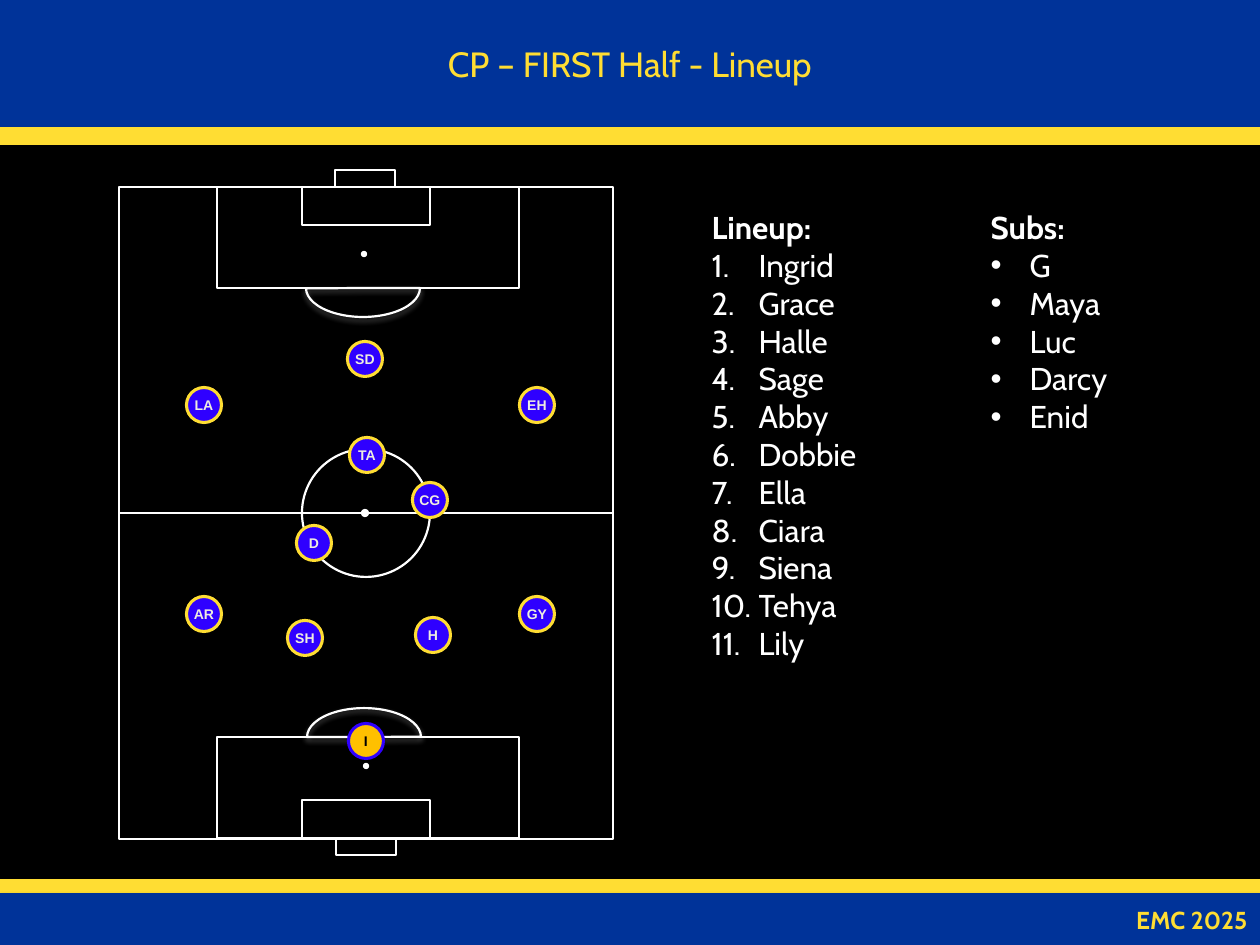
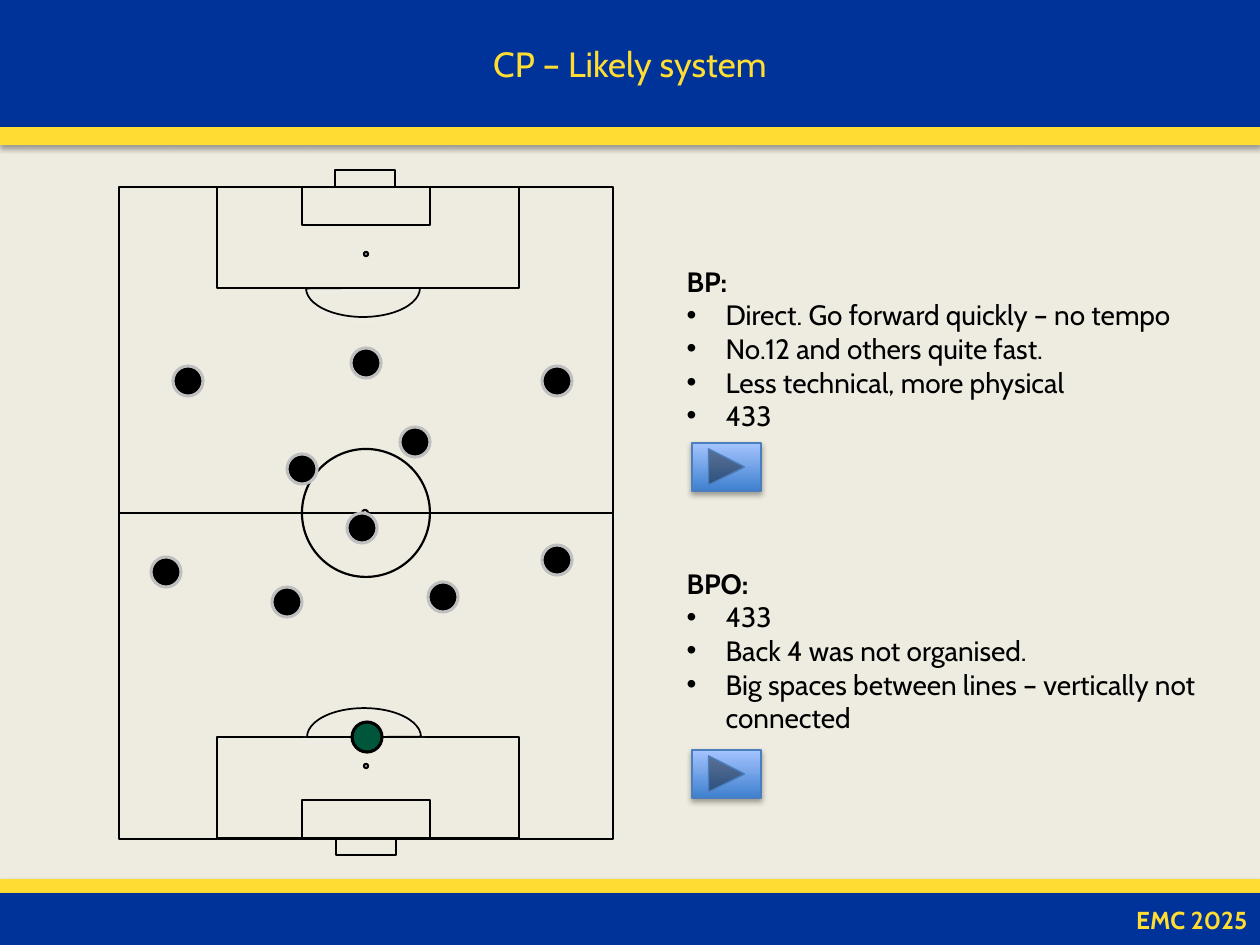
import pptx
import pptx.util
import pptx.dml.color
import pptx.enum.shapes
import pptx.enum.text
import pptx.oxml
import pptx.oxml.ns

EMU_PER_PX = 914400 / 126
C = {
    "blue": "003399", "yellow": "FFDD33", "black": "000000", "white": "FFFFFF",
    "cream": "EEECE1", "kit": "2F00FF", "amber": "FFC000", "green": "00563B",
    "grey": "BFBFBF", "button_dark": "3F80CE", "button_light": "A4C4FF",
    "button_edge": "4B7EBC",
}
MSO = pptx.enum.shapes.MSO_SHAPE
ALIGN = pptx.enum.text.PP_ALIGN
MIDDLE = pptx.enum.text.MSO_ANCHOR.MIDDLE
NO_FIT = pptx.enum.text.MSO_AUTO_SIZE.NONE
RGB = pptx.dml.color.RGBColor.from_string
NS = pptx.oxml.ns.nsdecls("a")


def style(sp, box, fill=None, line=None, width=0.75, shadow=None):
    """Place a shape by its px box (left, top, width, height) and paint it."""
    for name, v in zip(("left", "top", "width", "height"), box):
        setattr(sp, name, round(v * EMU_PER_PX))
    if fill:
        sp.fill.solid()
        sp.fill.fore_color.rgb = RGB(C[fill])
    else:
        sp.fill.background()
    if line:
        sp.line.color.rgb = RGB(C[line])
        sp.line.width = pptx.util.Pt(width)
    else:
        sp.line.fill.background()
    sp.shadow.inherit = False
    if shadow:
        effects = sp._element.spPr.find(pptx.oxml.ns.qn("a:effectLst"))
        effects.append(pptx.oxml.parse_xml(
            f'<a:outerShdw {NS} blurRad="40000" dist="23000" dir="5400000" rotWithShape="0">'
            f'<a:srgbClr val="{C[shadow]}"><a:alpha val="35000"/></a:srgbClr></a:outerShdw>'))
    return sp


def write(p, text, color, size, bold=False, name="Cabin"):
    r = p.add_run()
    r.text = text
    fmt = {"size": pptx.util.Pt(size), "bold": bold, "name": name}
    for key, value in fmt.items():
        setattr(r.font, key, value)
    r.font.color.rgb = RGB(C[color])


BULLET = ('<a:buChar {} char="•"/>',)
NUMBER = ("<a:buFontTx {}/>", '<a:buAutoNum {} type="arabicPeriod"/>')

# Pitch markings: kind, box, fill
PITCH = [
    (MSO.RECTANGLE, (119, 187, 494, 652), None),
    (MSO.OVAL, (302, 449, 128, 128), None),
    (MSO.OVAL, (362, 510, 6, 6), "white"),
    (MSO.RECTANGLE, (217, 187, 302, 101), None),
    (MSO.RECTANGLE, (302, 187, 128, 38), None),
    (MSO.RECTANGLE, (217, 737, 302, 101), None),
    (MSO.RECTANGLE, (302, 800, 128, 38), None),
    (MSO.OVAL, (364, 764, 4, 4), "white"),
    (MSO.RECTANGLE, (335, 170, 60, 17), None),
    (MSO.RECTANGLE, (336, 839, 60, 16), None),
]
ARCS = [((306, 259, 114, 58), 0), ((307, 708, 114, 58), 180)]

# Players: label, centre x, centre y; the goalkeeper comes last
SLIDES = [
    {
        "title": "CP – FIRST Half - Lineup",
        "bg": "black", "ink": "white", "arc_width": 1.25, "top_spot": 362,
        "size": 18, "diameter": 35,
        "outfield": {"fill": "kit", "line": "yellow"},
        "keeper": {"fill": "amber", "line": "kit"},
        "players": [
            ("H", 433, 635), ("SH", 305, 638), ("AR", 204, 614), ("GY", 537, 614),
            ("D", 314, 543), ("CG", 430, 500), ("TA", 367, 455), ("SD", 365, 359),
            ("EH", 537, 405), ("LA", 204, 405), ("I", 366, 741),
        ],
        "lists": [
            ("Lineup:", (699, 202, 260, 471), NUMBER, 47,
             ["Ingrid", "Grace", "Halle", "Sage", "Abby", "Dobbie", "Ella", "Ciara",
              "Siena", "Tehya", "Lily"]),
            ("Subs:", (978, 202, 226, 280), BULLET, 39,
             ["G", "Maya", "Luc", "Darcy", "Enid"]),
        ],
        "buttons": [],
    },
    {
        "title": "CP – Likely system",
        "bg": "cream", "ink": "black", "arc_width": 1, "top_spot": 364,
        "size": 16, "diameter": 30,
        "outfield": {"fill": "black", "line": "grey"},
        "keeper": {"fill": "green", "line": "black"},
        "players": [
            ("", 188, 381), ("", 366, 363), ("", 557, 381), ("", 302, 469),
            ("", 166, 572), ("", 415, 442), ("", 362, 528), ("", 287, 602),
            ("", 443, 597), ("", 557, 560), ("", 367, 737),
        ],
        "lists": [
            ("BP:", (674, 258, 547, 181), BULLET, 39,
             ["Direct. Go forward quickly – no tempo", "No.12 and others quite fast.",
              "Less technical, more physical", "433"]),
            ("BPO:", (674, 560, 547, 181), BULLET, 39,
             ["433", "Back 4 was not organised.",
              "Big spaces between lines – vertically not connected"]),
        ],
        "buttons": [(692, 443, 69, 48), (692, 750, 69, 48)],
    },
]

prs = pptx.Presentation()
prs.slide_width = round(1260 * EMU_PER_PX)
prs.slide_height = round(945 * EMU_PER_PX)

for d in SLIDES:
    s = prs.slides.add_slide(prs.slide_layouts.get_by_name("Two Content"))
    s.background.fill.solid()
    s.background.fill.fore_color.rgb = RGB(C[d["bg"]])
    ink = d["ink"]

    # Title band, stripes and footer band
    sp = style(s.shapes.title, (0, 0, 1260, 128), "blue", "blue", shadow="black")
    tf = sp.text_frame
    tf.auto_size, tf.vertical_anchor = NO_FIT, MIDDLE
    p = tf.paragraphs[0]
    p.alignment = ALIGN.CENTER
    write(p, d["title"], "yellow", 20)
    for box, color in [((0, 880, 1260, 15), "yellow"), ((0, 128, 1260, 16), "yellow"),
                       ((0, 894, 1260, 51), "blue")]:
        sp = s.shapes.add_shape(MSO.RECTANGLE, 0, 0, 0, 0)
        style(sp, box, color, color, shadow="black")
    sp.text_frame.vertical_anchor = MIDDLE
    p = sp.text_frame.paragraphs[0]
    p.alignment = ALIGN.RIGHT
    write(p, "EMC 2025", "yellow", 14, bold=True)

    # Pitch
    marks = []
    spot = (MSO.OVAL, (d["top_spot"], 252, 4, 4), "white")
    for kind, box, fill in PITCH + [spot]:
        sp = s.shapes.add_shape(kind, 0, 0, 0, 0)
        marks.append(style(sp, box, fill, ink, 1.25))
    for box, rotation in ARCS:
        sp = s.shapes.add_shape(MSO.PIE, 0, 0, 0, 0)
        style(sp, box, None, ink, d["arc_width"], shadow="white")
        sp.adjustments[0], sp.adjustments[1] = 0, 107.73
        sp.rotation = rotation
        marks.append(sp)
    halfway = s.shapes.add_connector(
        pptx.enum.shapes.MSO_CONNECTOR.STRAIGHT,
        *[round(v * EMU_PER_PX) for v in (119, 513, 613, 513)])
    halfway.line.color.rgb = RGB(C[ink])
    halfway.line.width = pptx.util.Pt(1.25)
    halfway._element.spPr.append(pptx.oxml.parse_xml(f"<a:effectLst {NS}/>"))
    s.shapes.add_group_shape(marks + [halfway])

    # Players
    size = d["diameter"]
    for i, (label, x, y) in enumerate(d["players"], 1):
        is_keeper = i == len(d["players"])
        sp = s.shapes.add_shape(MSO.OVAL, 0, 0, 0, 0)
        style(sp, (x - size / 2, y - size / 2, size, size), width=1.75,
              **d["keeper" if is_keeper else "outfield"])
        if label:
            tf = sp.text_frame
            for key, value in {"margin_left": 0, "margin_right": 0, "word_wrap": False,
                               "vertical_anchor": MIDDLE}.items():
                setattr(tf, key, value)
            p = tf.paragraphs[0]
            p.alignment = ALIGN.CENTER
            write(p, label, "black" if is_keeper else "cream", 8, True, "Arial")

    # Lists
    bodies = [ph for ph in s.placeholders if ph.placeholder_format.idx]
    for sp, (heading, box, marker, indent, items) in zip(bodies, d["lists"]):
        tf = style(sp, box).text_frame
        tf.auto_size, tf.word_wrap = NO_FIT, True
        for i, text in enumerate([heading] + items):
            p = tf.add_paragraph() if i else tf.paragraphs[0]
            p.space_before = pptx.util.Pt(0)
            pPr = p._p.get_or_add_pPr()
            hang = round(indent * EMU_PER_PX) if i else 0
            pPr.set("marL", str(hang))
            pPr.set("indent", str(-hang))
            for xml in marker if i else ("<a:buNone {}/>",):
                pPr.append(pptx.oxml.parse_xml(xml.format(NS)))
            write(p, text, ink, d["size"], bold=i == 0)

    # Video buttons
    for box in d["buttons"]:
        sp = s.shapes.add_shape(MSO.ACTION_BUTTON_FORWARD_OR_NEXT, 0, 0, 0, 0)
        style(sp, box, None, "button_edge", shadow="black")
        sp.fill.gradient()
        sp.fill.gradient_angle = 90
        for stop, color in zip(sp.fill.gradient_stops, ("button_dark", "button_light")):
            stop.color.rgb = RGB(C[color])

prs.save("out.pptx")
